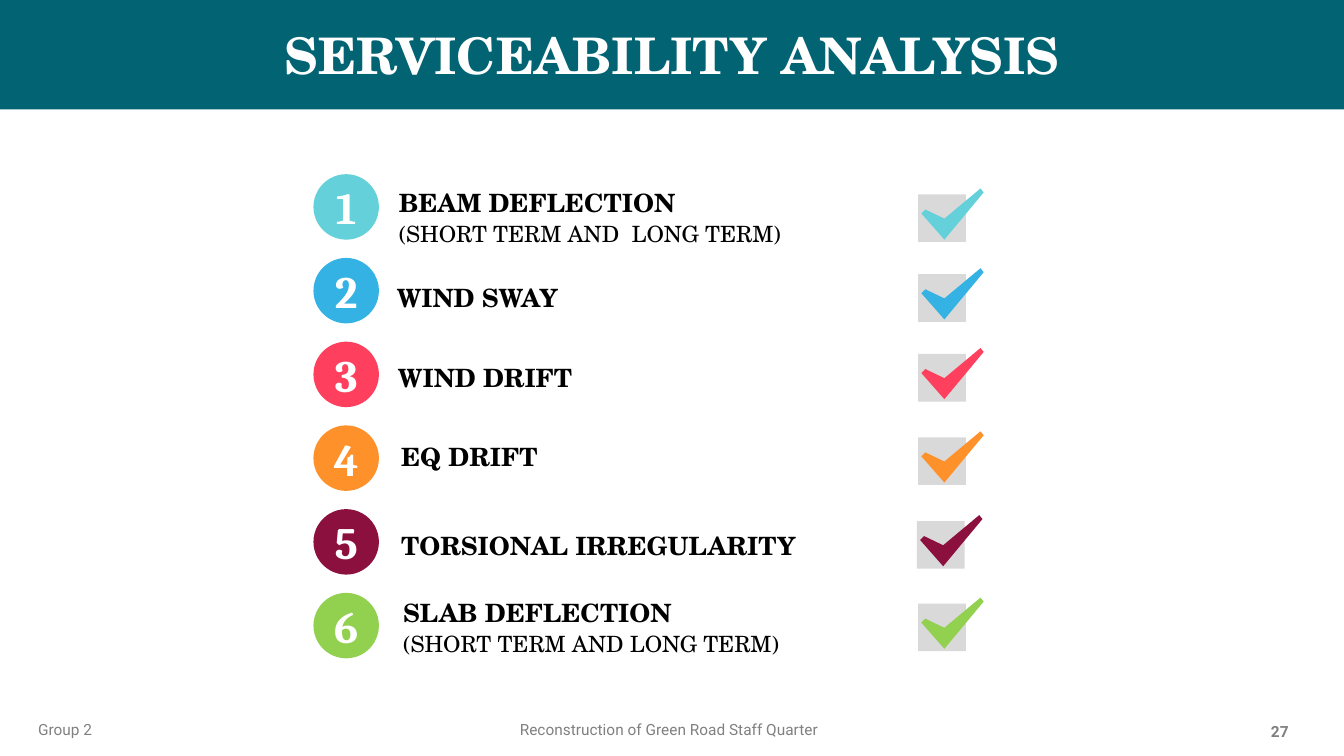
from pptx import Presentation
from pptx import util as u
from pptx.dml.color import RGBColor
from pptx.enum import shapes, text

HEADING_FONT = "TeX Gyre Schola"
CIRCLE_LEFT, CIRCLE_TOP, CIRCLE_SIZE, CIRCLE_STEP = 7.9, 4.39, 1.65, 2.11
BOX_SIZE = 1.2
TICK_POINTS = [(1.57, -0.15), (1.65, -0.05), (0.66, 1.14),
               (0.08, 0.48), (0.18, 0.38), (0.66, 0.61)]
# colour, label lines, label (left, top, width, height), check box (left, top)
CHECKS = [
    ("64D0DA", ["BEAM DEFLECTION", "(SHORT TERM AND  LONG TERM)"],
     (9.8, 4.52, 10.26, 1.8), (23.14, 4.9)),
    ("34B2E4", ["WIND SWAY"], (9.75, 6.91, 6.78, 1.04), (23.14, 6.91)),
    ("FF3F5E", ["WIND DRIFT"], (9.78, 8.92, 6.78, 1.04), (23.14, 8.92)),
    ("FE912A", ["EQ DRIFT"], (9.86, 10.92, 6.78, 1.04), (23.14, 11.02)),
    ("8B103E", ["TORSIONAL IRREGULARITY"], (9.86, 13.16, 10.92, 1.04), (23.11, 13.13)),
    ("92D050", ["SLAB DEFLECTION", "(SHORT TERM AND LONG TERM)"],
     (9.91, 14.86, 11.3, 1.8), (23.14, 15.21)),
]
FOOTERS = [
    ("Group 2", (0.71, 18.03, 2.79, 0.74), False),
    ("Reconstruction of Green Road Staff Quarter", (12.85, 18.03, 8.15, 0.74), False),
    ("27", (31.78, 18.06, 1.09, 0.74), True),
]


def rgb(colour):
    return RGBColor.from_string(colour)


def cm(values):
    return [u.Cm(value) for value in values]


def paint(shape, colour):
    shape.shadow.inherit = False
    shape.fill.solid()
    shape.fill.fore_color.rgb = rgb(colour)
    shape.line.fill.background()


def style(paragraph, font_name, size, colour, bold=False):
    for run in paragraph.runs:
        run.font.name = font_name
        run.font.size = u.Pt(size)
        run.font.bold = bold
        run.font.color.rgb = rgb(colour)


def add_text(slide, lines, area):
    frame = slide.shapes.add_textbox(*cm(area)).text_frame
    frame.word_wrap = True
    frame.text = "\n".join(lines)
    return frame.paragraphs


def set_title(slide, title):
    shape = slide.shapes.title
    shape.left, shape.top, shape.width, shape.height = cm((0, -0.03, 33.87, 2.79))
    shape.fill.solid()
    shape.fill.fore_color.rgb = rgb("026473")
    frame = shape.text_frame
    frame.text = title
    frame.auto_size = text.MSO_AUTO_SIZE.NONE
    frame.vertical_anchor = text.MSO_ANCHOR.MIDDLE
    frame.paragraphs[0].alignment = text.PP_ALIGN.CENTER
    style(frame.paragraphs[0], HEADING_FONT, 36, "FFFFFF", True)


def add_number(slide, index, colour):
    top = CIRCLE_TOP + index * CIRCLE_STEP
    circle = slide.shapes.add_shape(
        shapes.MSO_SHAPE.OVAL, *cm((CIRCLE_LEFT, top, CIRCLE_SIZE, CIRCLE_SIZE)))
    paint(circle, colour)
    frame = circle.text_frame
    frame.text = str(index + 1)
    frame.vertical_anchor = text.MSO_ANCHOR.MIDDLE
    frame.paragraphs[0].alignment = text.PP_ALIGN.CENTER
    style(frame.paragraphs[0], "Cambria", 32, "FFFFFF", True)


def add_label(slide, lines, area):
    """Write a bold heading and, if present, a lighter line below it."""
    for index, paragraph in enumerate(add_text(slide, lines, area)):
        paragraph.line_spacing = 1.1
        style(paragraph, HEADING_FONT, 16 if index else 18, "000000", index == 0)


def add_check_box(slide, left, top, colour):
    group = slide.shapes.add_group_shape()
    box = group.shapes.add_shape(
        shapes.MSO_SHAPE.RECTANGLE, *cm((left, top, BOX_SIZE, BOX_SIZE)))
    paint(box, "D9D9D9")
    points = [cm((left + x, top + y)) for x, y in TICK_POINTS]
    builder = group.shapes.build_freeform(*points[0])
    builder.add_line_segments(points[1:], close=True)
    paint(builder.convert_to_shape(), colour)


def main():
    presentation = Presentation()
    presentation.slide_width = u.Cm(33.87)
    presentation.slide_height = u.Cm(19.05)
    slide = presentation.slides.add_slide(presentation.slide_layouts[5])
    set_title(slide, "SERVICEABILITY ANALYSIS")
    for index, (colour, lines, area, box_corner) in enumerate(CHECKS):
        add_number(slide, index, colour)
        add_label(slide, lines, area)
        add_check_box(slide, *box_corner, colour)
    for words, area, bold in FOOTERS:
        style(add_text(slide, [words], area)[0], "Roboto", 11, "808080", bold)
    presentation.save("out.pptx")


if __name__ == "__main__":
    main()
